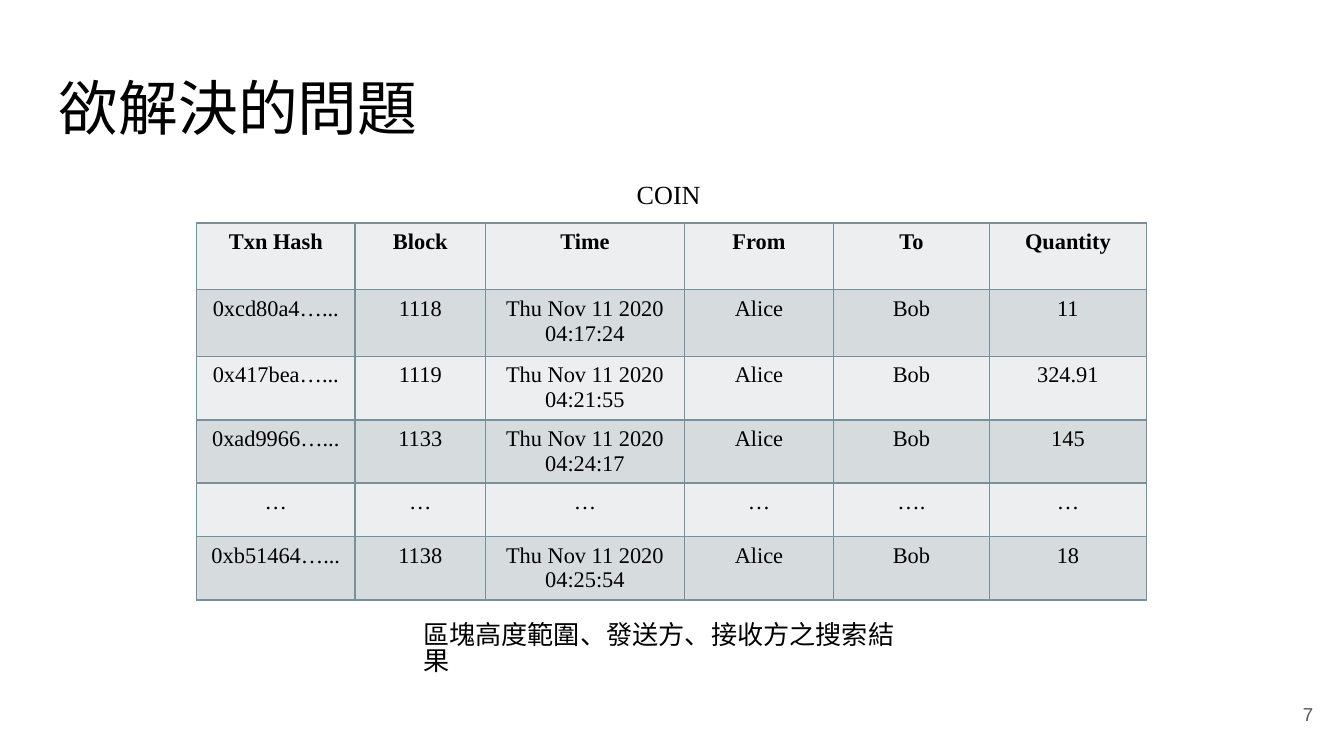
"""Builds a slide with a table of token transfers found by a search."""
from pptx import Presentation
from pptx.dml.color import RGBColor
from pptx.enum.text import MSO_ANCHOR, PP_ALIGN
from pptx.oxml import parse_xml
from pptx.oxml.ns import nsdecls
from pptx.util import Pt

SERIF, SANS, CJK = "Times New Roman", "Arial", "Noto Sans CJK SC"
INK, GREY, EDGE = "000000", "595959", "78909C"
BANDS = ["ECEEEF", "D6DBDE"]
LEFT, RIGHT, MID = PP_ALIGN.LEFT, PP_ALIGN.RIGHT, PP_ALIGN.CENTER

# text, box, size, font, colour, align, inset, line spacing
TEXTS = [
    ("欲解決的問題", (24.5, 35.3, 671, 45.4), 32, CJK, INK, LEFT, 7.2, 0.9),
    ("7", (667.4, 367.2, 43.2, 31), 10, SANS, GREY, RIGHT, 7.2, 1),
    ("COIN", (334, 92.2, 52, 24.5), 14, SERIF, INK, LEFT, 3.6, 1),
    ("區塊高度範圍、發送方、接收方之搜索結果", (219.6, 330.5, 280, 24.5),
     14, CJK, INK, LEFT, 3.6, 0.83),
]
ROWS = [
    ("Txn Hash", "Block", "Time", "From", "To", "Quantity"),
    ("0xcd80a4…...", "1118", "Thu Nov 11 2020 04:17:24", "Alice", "Bob", "11"),
    ("0x417bea…...", "1119", "Thu Nov 11 2020 04:21:55", "Alice", "Bob", "324.91"),
    ("0xad9966…...", "1133", "Thu Nov 11 2020 04:24:17", "Alice", "Bob", "145"),
    ("…", "…", "…", "…", "….", "…"),
    ("0xb51464…...", "1138", "Thu Nov 11 2020 04:25:54", "Alice", "Bob", "18"),
]
WIDTHS = [85, 69.8, 106.6, 79.9, 83.5, 84.2]
HEIGHTS = [35.7, 35.7, 34, 34, 28.5, 34]
GRID = (105.3, 119.5)


def tint(code):
    return RGBColor.from_string(code)


def write(frame, text, size, font, ink, align, bold=False):
    para = frame.paragraphs[0]
    para.alignment = align
    run = para.add_run()
    run.text = text
    run.font.size, run.font.name, run.font.bold = Pt(size), font, bold
    run.font.color.rgb = tint(ink)
    run.font._element.append(
        parse_xml(f'<a:ea {nsdecls("a")} typeface="{font}"/>'))
    return para


def edge(cell):
    props = cell._tc.get_or_add_tcPr()
    for spot, side in enumerate("LRTB"):
        props.insert(spot, parse_xml(
            f'<a:ln{side} {nsdecls("a")} w="{Pt(1)}"><a:solidFill>'
            f'<a:srgbClr val="{EDGE}"/></a:solidFill></a:ln{side}>'))


def add_text(slide, text, box, size, font, ink, align, inset, space):
    frame = slide.shapes.add_textbox(*map(Pt, box)).text_frame
    frame.word_wrap = True
    frame.margin_left = frame.margin_right = Pt(7.2)
    frame.margin_top = frame.margin_bottom = Pt(inset)
    frame.vertical_anchor = MSO_ANCHOR.MIDDLE if align == RIGHT else MSO_ANCHOR.TOP
    write(frame, text, size, font, ink, align).line_spacing = space


def add_grid(slide):
    box = (*GRID, sum(WIDTHS), sum(HEIGHTS))
    table = slide.shapes.add_table(len(ROWS), len(WIDTHS), *map(Pt, box)).table
    for col, width in zip(table.columns, WIDTHS):
        col.width = Pt(width)
    for r, (row, high) in enumerate(zip(ROWS, HEIGHTS)):
        table.rows[r].height = Pt(high)
        for c, text in enumerate(row):
            cell = table.cell(r, c)
            cell.fill.solid()
            cell.fill.fore_color.rgb = tint(BANDS[r % 2])
            edge(cell)
            write(cell.text_frame, text, 12, SERIF, INK, MID, r == 0)


def main():
    deck = Presentation()
    deck.slide_width, deck.slide_height = Pt(720), Pt(405)
    slide = deck.slides.add_slide(deck.slide_layouts[6])
    add_grid(slide)
    for item in TEXTS:
        add_text(slide, *item)
    deck.save("out.pptx")


if __name__ == "__main__":
    main()
